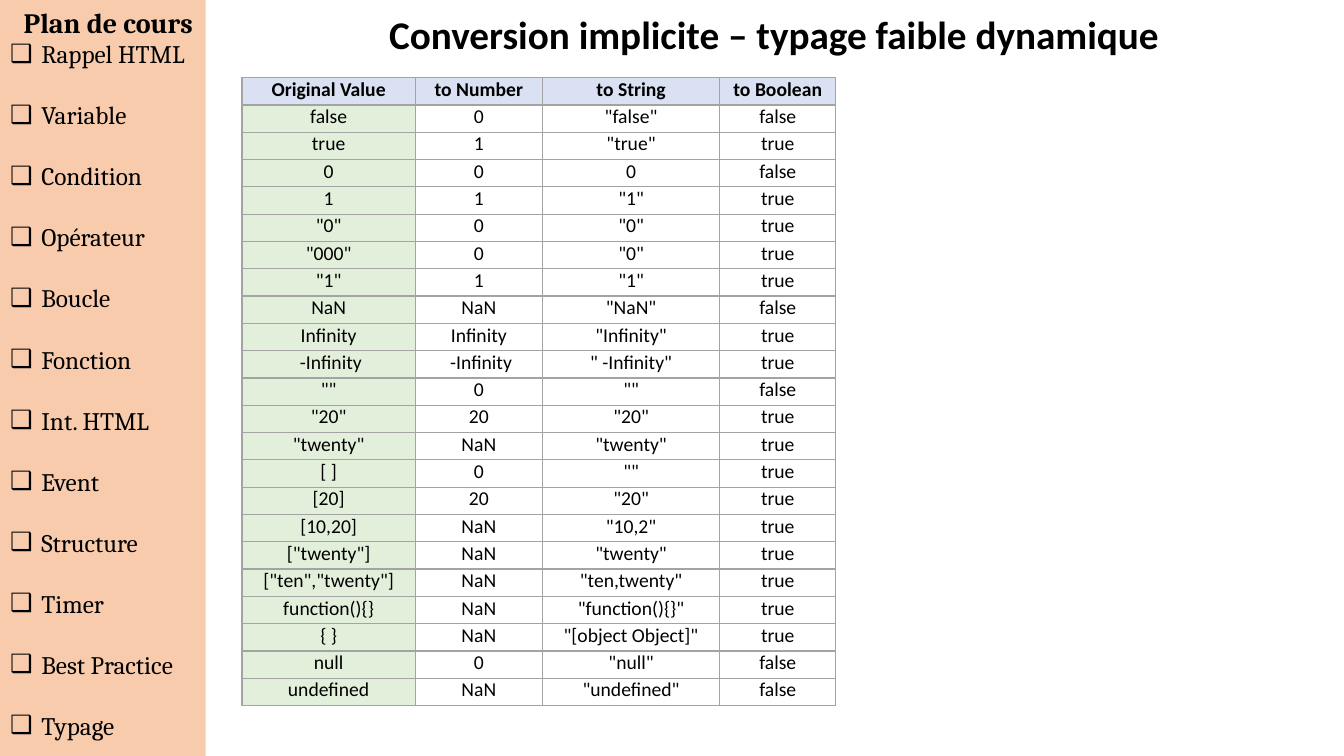
import pptx
import pptx.dml.color
import pptx.enum.shapes
import pptx.enum.text
import pptx.oxml.ns
import pptx.util
from lxml import etree

Inches = pptx.util.Inches
Pt = pptx.util.Pt
qn = pptx.oxml.ns.qn
CENTER = pptx.enum.text.PP_ALIGN.CENTER
BLACK = "000000"


def color(hex_string):
    return pptx.dml.color.RGBColor.from_string(hex_string)


def add_span(para, text, size, font_name, bold=False):
    span = para.add_run()
    span.text = text
    span.font.size = Pt(size)
    span.font.name = font_name
    span.font.bold = bold
    span.font.color.rgb = color(BLACK)


topics = [
    "Rappel HTML", "Variable", "Condition", "Opérateur", "Boucle", "Fonction",
    "Int. HTML", "Event", "Structure", "Timer", "Best Practice", "Typage",
]
conversions = [
    ("Original Value", "to Number", "to String", "to Boolean"),
    ("false", "0", '"false"', "false"),
    ("true", "1", '"true"', "true"),
    ("0", "0", "0", "false"),
    ("1", "1", '"1"', "true"),
    ('"0"', "0", '"0"', "true"),
    ('"000"', "0", '"0"', "true"),
    ('"1"', "1", '"1"', "true"),
    ("NaN", "NaN", '"NaN"', "false"),
    ("Infinity", "Infinity", '"Infinity"', "true"),
    (" -Infinity", " -Infinity", '" -Infinity"', "true"),
    ('""', "0", '""', "false"),
    ('"20"', "20", '"20"', "true"),
    ('"twenty"', "NaN", '"twenty"', "true"),
    ("[ ]", "0", '""', "true"),
    ("[20]", "20", '"20"', "true"),
    ("[10,20]", "NaN", '"10,2"', "true"),
    ('["twenty"]', "NaN", '"twenty"', "true"),
    ('["ten","twenty"]', "NaN", '"ten,twenty"', "true"),
    ("function(){}", "NaN", '"function(){}"', "true"),
    ("{ }", "NaN", '"[object Object]"', "true"),
    ("null", "0", '"null"', "false"),
    ("undefined", "NaN", '"undefined"', "false"),
]

deck = pptx.Presentation()
deck.slide_width = Inches(13.33)
deck.slide_height = Inches(7.5)
page = deck.slides.add_slide(deck.slide_layouts[1])
title, plan = page.placeholders

# Sidebar panel, sent to the back
panel = page.shapes.add_shape(
    pptx.enum.shapes.MSO_SHAPE.RECTANGLE, 0, 0, Inches(2.04), Inches(7.5))
panel.shadow.inherit = False
panel.fill.solid()
panel.fill.fore_color.rgb = color("F8CBAD")
panel.line.fill.background()
page.shapes._spTree.insert(2, panel._element)

# Title and course plan placeholders
for box, left, top, width, height in [
    (title, 2.02, 0.05, 11.31, 0.57),
    (plan, 0, 0, 2.15, 7.4),
]:
    box.left, box.top = Inches(left), Inches(top)
    box.width, box.height = Inches(width), Inches(height)
    box.text_frame.word_wrap = True
    box.text_frame.auto_size = pptx.enum.text.MSO_AUTO_SIZE.NONE
    box.text_frame.vertical_anchor = pptx.enum.text.MSO_ANCHOR.TOP

para = title.text_frame.paragraphs[0]
para.alignment = CENTER
add_span(para, "Conversion implicite – typage faible dynamique", 28, "Calibri", True)

# Course plan: heading, then one bullet per topic
para = plan.text_frame.paragraphs[0]
properties = para._p.get_or_add_pPr()
properties.set("marL", "0")
properties.set("indent", "0")
etree.SubElement(properties, qn("a:buNone"))
para.alignment = CENTER
para.space_before = Pt(0)
add_span(para, "Plan de cours", 20, "Cambria", True)

for index, topic in enumerate(topics):
    para = plan.text_frame.add_paragraph()
    properties = para._p.get_or_add_pPr()
    properties.set("marL", str(Inches(0.31)))
    properties.set("indent", str(-Inches(0.31)))
    etree.SubElement(properties, qn("a:buChar")).set("char", "❑")
    para.space_before = Pt(22 if index else 0)
    add_span(para, topic, 18, "Cambria")

# Conversion table
column_widths = [1.72, 1.26, 1.76, 1.15]
table = page.shapes.add_table(
    len(conversions), len(column_widths),
    Inches(2.4), Inches(0.77), Inches(sum(column_widths)), Inches(6.23)).table
table.first_row = False
table.horz_banding = False
for column, width in zip(table.columns, column_widths):
    column.width = Inches(width)

for row_index, values in enumerate(conversions):
    for column_index, value in enumerate(values):
        cell = table.cell(row_index, column_index)
        cell.margin_left = cell.margin_right = Inches(0.04)
        cell.margin_top = cell.margin_bottom = 0
        para = cell.text_frame.paragraphs[0]
        para.alignment = CENTER
        add_span(para, value, 14, "Calibri", row_index == 0)

        # Borders come before the fill in the cell properties
        for side in ("a:lnL", "a:lnR", "a:lnT", "a:lnB"):
            border = etree.SubElement(cell._tc.get_or_add_tcPr(), qn(side))
            border.set("w", str(Pt(1)))
            border_fill = etree.SubElement(border, qn("a:solidFill"))
            etree.SubElement(border_fill, qn("a:srgbClr")).set("val", "A3A3A3")

        if row_index == 0 or column_index == 0:
            cell.fill.solid()
            cell.fill.fore_color.rgb = color("E2EFDA" if row_index else "D9E1F2")
        else:
            cell.fill.background()

deck.save("out.pptx")
